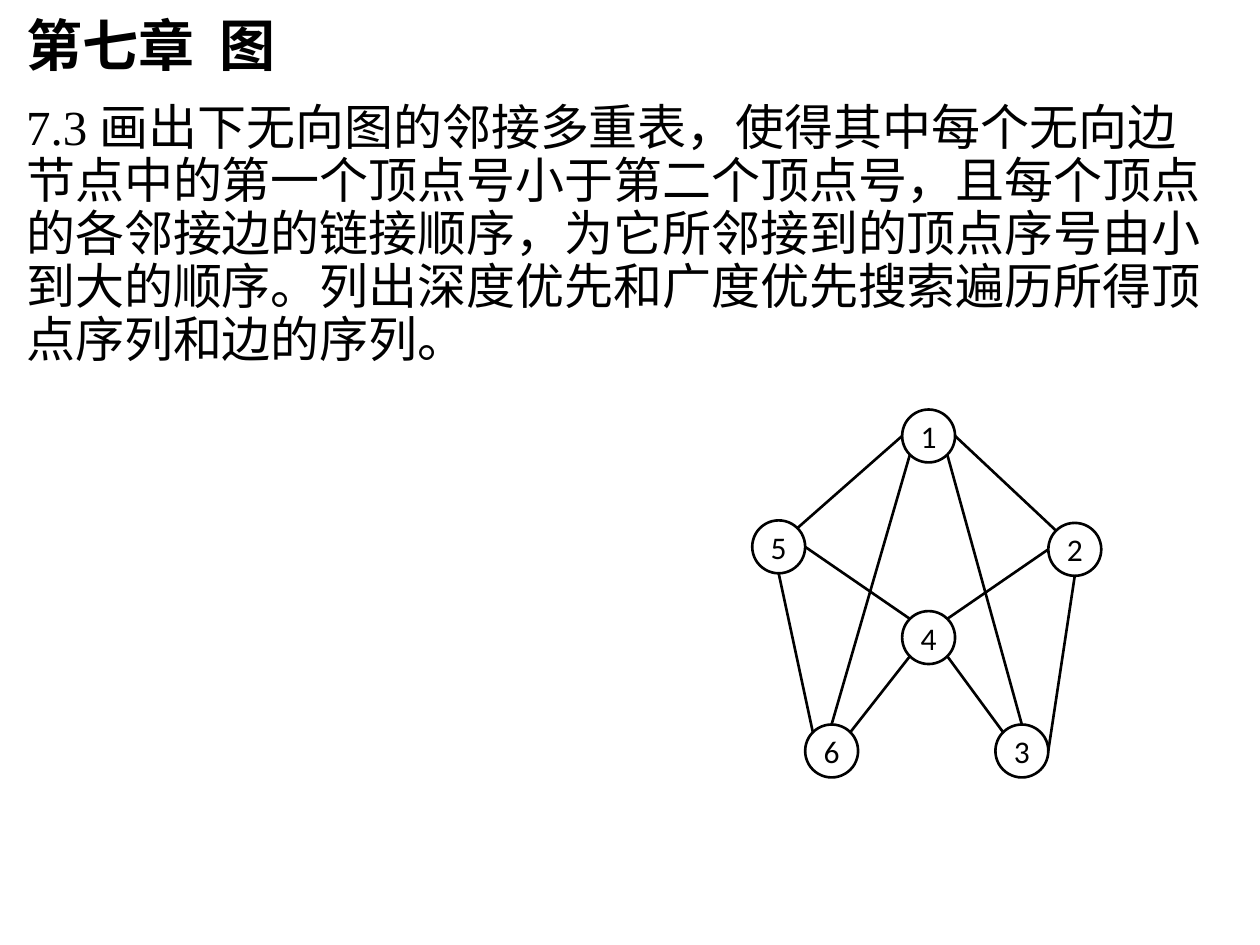
from lxml.etree import SubElement
from pptx import Presentation
from pptx.dml.color import RGBColor
from pptx.enum.shapes import MSO_CONNECTOR as Link, MSO_SHAPE as Shape
from pptx.enum.text import MSO_ANCHOR as Anchor, PP_ALIGN as Align
from pptx.oxml.ns import qn
from pptx.util import Inches, Pt

INK = "000000"
CJK = "Noto Sans CJK SC"
SIZE = 0.42  # node diameter

# Top left corner of each node, within the graph's box
NODES = {1: (1.19, 0), 5: (0, 0.88), 2: (2.35, 0.9),
         6: (0.42, 2.5), 3: (1.93, 2.5), 4: (1.19, 1.6)}
# Node and compass side at both ends of each edge
EDGES = [(1, "W", 5, "NE"), (1, "E", 2, "NW"), (1, "SW", 6, "N"),
         (1, "SE", 3, "N"), (5, "E", 4, "NW"), (2, "W", 4, "NE"),
         (4, "SW", 6, "NE"), (4, "SE", 3, "NW"), (6, "NW", 5, "S"),
         (2, "S", 3, "E")]

TITLE = "第七章  图"
TASK = ("7.3 画出下无向图的邻接多重表，使得其中每个无向边节点中的第一个顶点号"
        "小于第二个顶点号，且每个顶点的各邻接边的链接顺序，为它所邻接到的顶点"
        "序号由小到大的顺序。列出深度优先和广度优先搜索遍历所得顶点序列和边的序列。")


def paint(color, code):
    color.rgb = RGBColor.from_string(code)


def write(frame, text, size, name, align=Align.LEFT, bold=False):
    frame.text = text
    frame.word_wrap = True
    para = frame.paragraphs[0]
    para.alignment = align
    font = para.font
    font.size, font.name, font.bold = Pt(size), name, bold
    paint(font.color, INK)
    return para


def place(shape, left, top, width, height):
    shape.left, shape.top = Inches(left), Inches(top)
    shape.width, shape.height = Inches(width), Inches(height)


def add_title(slide, *box):
    title = slide.shapes.title
    place(title, *box)
    title.text_frame.vertical_anchor = Anchor.MIDDLE
    para = write(title.text_frame, TITLE, 32, CJK, bold=True)
    para.line_spacing = 0.9


def add_task(slide, *box):
    area = slide.shapes.add_textbox(*map(Inches, box))
    para = write(area.text_frame, TASK, 28, "Times New Roman")
    para.line_spacing = 0.9
    para.space_before = Pt(10)


def rim(num, side):
    """Point on a node's circle in a compass direction."""
    x, y = NODES[num]
    dx = ("E" in side) - ("W" in side)
    dy = ("S" in side) - ("N" in side)
    reach = SIZE / 2 / (dx * dx + dy * dy) ** 0.5
    return x + SIZE / 2 + dx * reach, y + SIZE / 2 + dy * reach


def add_graph(slide, left, top):
    group = slide.shapes.add_group_shape()

    # Nodes
    for num, (x, y) in NODES.items():
        node = group.shapes.add_shape(
            Shape.OVAL, Inches(left + x), Inches(top + y),
            Inches(SIZE), Inches(SIZE))
        node.shadow.inherit = False
        node.fill.background()
        node.line.width = Pt(1.5)
        paint(node.line.color, INK)
        frame = node.text_frame
        frame.margin_left = frame.margin_right = 0
        frame.margin_top = frame.margin_bottom = 0
        frame.vertical_anchor = Anchor.MIDDLE
        write(frame, str(num), 18, "Calibri", Align.CENTER)

    # Edges
    for tail, out, head, into in EDGES:
        (x1, y1), (x2, y2) = rim(tail, out), rim(head, into)
        edge = group.shapes.add_connector(
            Link.STRAIGHT, Inches(left + x1), Inches(top + y1),
            Inches(left + x2), Inches(top + y2))
        edge.line.width = Pt(1.5)
        paint(edge.line.color, INK)
        SubElement(edge._element.spPr, qn("a:effectLst"))


def main():
    deck = Presentation()
    deck.slide_width, deck.slide_height = Inches(10), Inches(7.5)
    slide = deck.slides.add_slide(deck.slide_layouts[5])
    add_task(slide, 0.11, 0.77, 9.71, 6.48)
    add_graph(slide, 5.97, 3.25)
    add_title(slide, 0.11, -0.34, 8.62, 1.45)
    deck.save("out.pptx")


if __name__ == "__main__":
    main()
